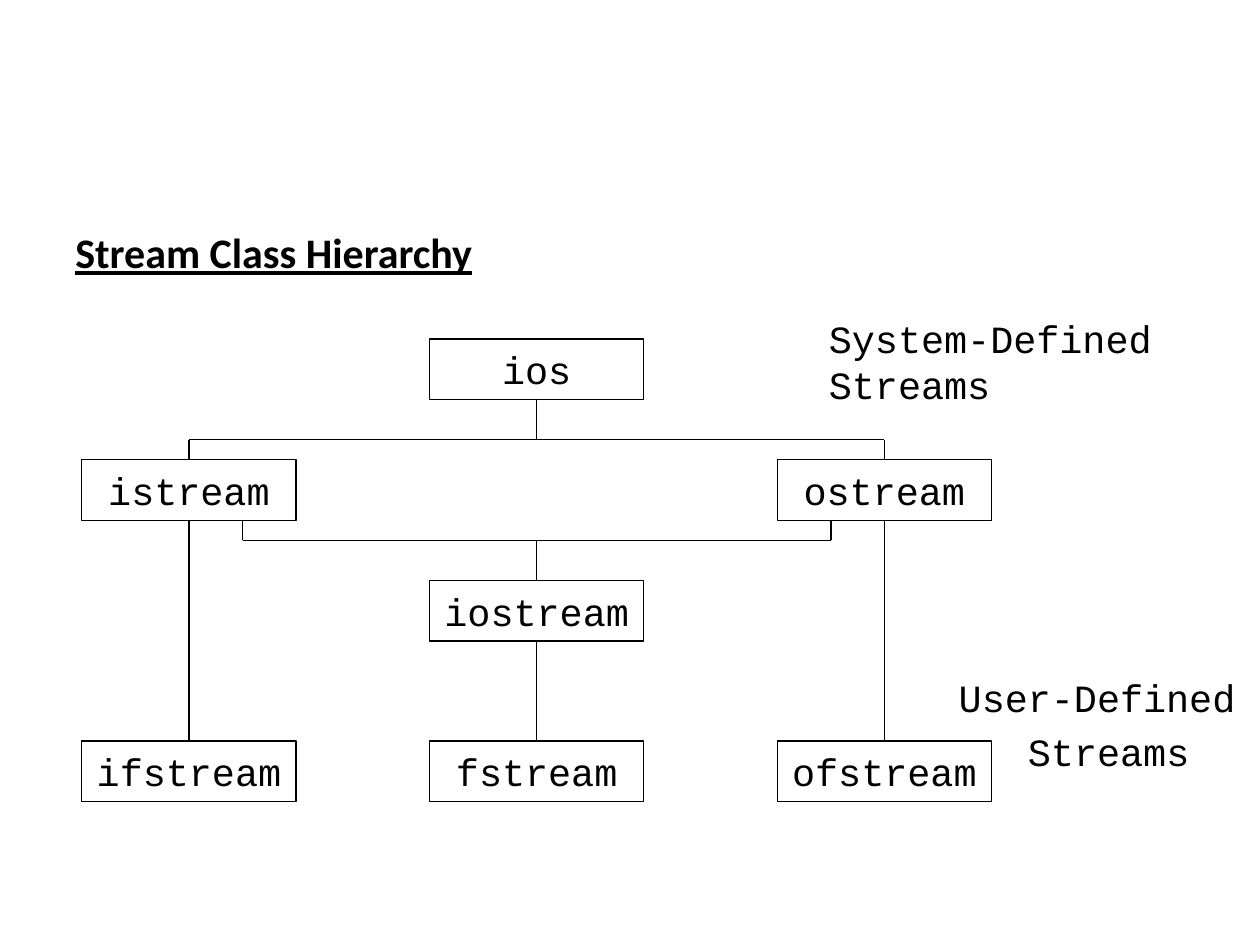
from dataclasses import dataclass

from lxml import etree
from pptx import Presentation
from pptx import util as u
from pptx.dml.color import RGBColor
from pptx.enum import shapes, text
from pptx.oxml import ns

Pt = u.Pt
TOP, BOTTOM = 0, 2  # connection sites of a rectangle


@dataclass(frozen=True)
class Theme:
    ink: RGBColor = RGBColor(0, 0, 0)
    heading_font: str = "Calibri"
    code_font: str = "Courier New"
    heading_size: float = 24
    code_size: float = 22
    line_width: float = 0.75


class Diagram:
    """Draws the elements of one slide in one style; lengths are in points."""

    def __init__(self, slide, theme):
        self.slide = slide
        self.theme = theme

    def add_run(self, paragraph, words, heading=False):
        theme = self.theme
        run = paragraph.add_run()
        run.text = words
        run.font.name = theme.heading_font if heading else theme.code_font
        run.font.size = Pt(theme.heading_size if heading else theme.code_size)
        run.font.color.rgb = theme.ink
        if heading:
            run.font.bold = run.font.underline = True

    def label(self, left, top, width, height, lines, heading=False,
              align=text.PP_ALIGN.LEFT, line_spacing=1.0, gap=0):
        shape = self.slide.shapes.add_textbox(Pt(left), Pt(top), Pt(width), Pt(height))
        frame = shape.text_frame
        frame.word_wrap = True
        for index, words in enumerate(lines):
            paragraph = frame.add_paragraph() if index else frame.paragraphs[0]
            paragraph.alignment = align
            paragraph.line_spacing = line_spacing
            paragraph.space_before = Pt(gap if index else 0)
            self.add_run(paragraph, words, heading)

    def class_box(self, center, top, width, height, name):
        shape = self.slide.shapes.add_shape(
            shapes.MSO_SHAPE.RECTANGLE,
            Pt(center - width / 2), Pt(top), Pt(width), Pt(height))
        shape.shadow.inherit = False
        shape.fill.background()
        shape.line.color.rgb = self.theme.ink
        shape.line.width = Pt(self.theme.line_width)
        frame = shape.text_frame
        frame.margin_left = frame.margin_right = Pt(1)
        frame.margin_top = frame.margin_bottom = Pt(1)
        frame.vertical_anchor = text.MSO_ANCHOR.MIDDLE
        paragraph = frame.paragraphs[0]
        paragraph.alignment = text.PP_ALIGN.CENTER
        self.add_run(paragraph, name)
        return shape

    def line(self, x1, y1, x2, y2, begin=None, end=None):
        """Draw a line; begin and end are optional (shape, site) joints."""
        connector = self.slide.shapes.add_connector(
            shapes.MSO_CONNECTOR.STRAIGHT, Pt(x1), Pt(y1), Pt(x2), Pt(y2))
        connector.line.color.rgb = self.theme.ink
        connector.line.width = Pt(self.theme.line_width)
        properties = connector._element.find(ns.qn("p:spPr"))
        etree.SubElement(properties, ns.qn("a:effectLst"))
        if begin:
            connector.begin_connect(*begin)
        if end:
            connector.end_connect(*end)


def main():
    presentation = Presentation()
    presentation.slide_width, presentation.slide_height = Pt(720), Pt(540)
    slide = presentation.slides.add_slide(presentation.slide_layouts[6])
    diagram = Diagram(slide, Theme())

    # Heading
    diagram.label(36, 126, 648, 40, ["Stream Class Hierarchy"], heading=True)

    # Class boxes on a grid of three columns and four rows
    width, height, stub = 122.4, 34.6, 11.5
    left, middle, right = (108 + 198.7 * column for column in range(3))
    root_row, stream_row, both_row = (193.7 + 69 * row for row in range(3))
    file_row = 423.4
    places = {
        "ios": (middle, root_row),
        "istream": (left, stream_row),
        "ostream": (right, stream_row),
        "iostream": (middle, both_row),
        "ifstream": (left, file_row),
        "fstream": (middle, file_row),
        "ofstream": (right, file_row),
    }
    boxes = {name: diagram.class_box(x, y, width, height, name)
             for name, (x, y) in places.items()}

    # Stream classes down to their file classes
    for parent, child in (("istream", "ifstream"), ("iostream", "fstream"),
                          ("ostream", "ofstream")):
        x, y = places[parent]
        diagram.line(x, y + height, x, file_row,
                     (boxes[parent], BOTTOM), (boxes[child], TOP))

    # ios branches to istream and ostream
    bus = stream_row - stub
    diagram.line(middle, root_row + height, middle, bus, begin=(boxes["ios"], BOTTOM))
    diagram.line(left, bus, right, bus)
    for name in ("istream", "ostream"):
        x, y = places[name]
        diagram.line(x, y, x, bus, begin=(boxes[name], TOP))

    # istream and ostream merge into iostream
    stream_bottom = stream_row + height
    bus = stream_bottom + stub
    inner_left, inner_right = left + width / 4, right - width / 4
    for x in (inner_left, inner_right):
        diagram.line(x, stream_bottom, x, bus)
    diagram.line(inner_left, bus, inner_right, bus)
    diagram.line(middle, bus, middle, both_row, end=(boxes["iostream"], TOP))

    # Side labels
    diagram.label(480.2, 388, 306.7, 58.3, ["User-Defined ", "Streams"],
                  align=text.PP_ALIGN.CENTER, line_spacing=0.75, gap=11)
    diagram.label(466.6, 176.4, 233.3, 60.5, ["System-Defined Streams"])

    presentation.save("out.pptx")


if __name__ == "__main__":
    main()
